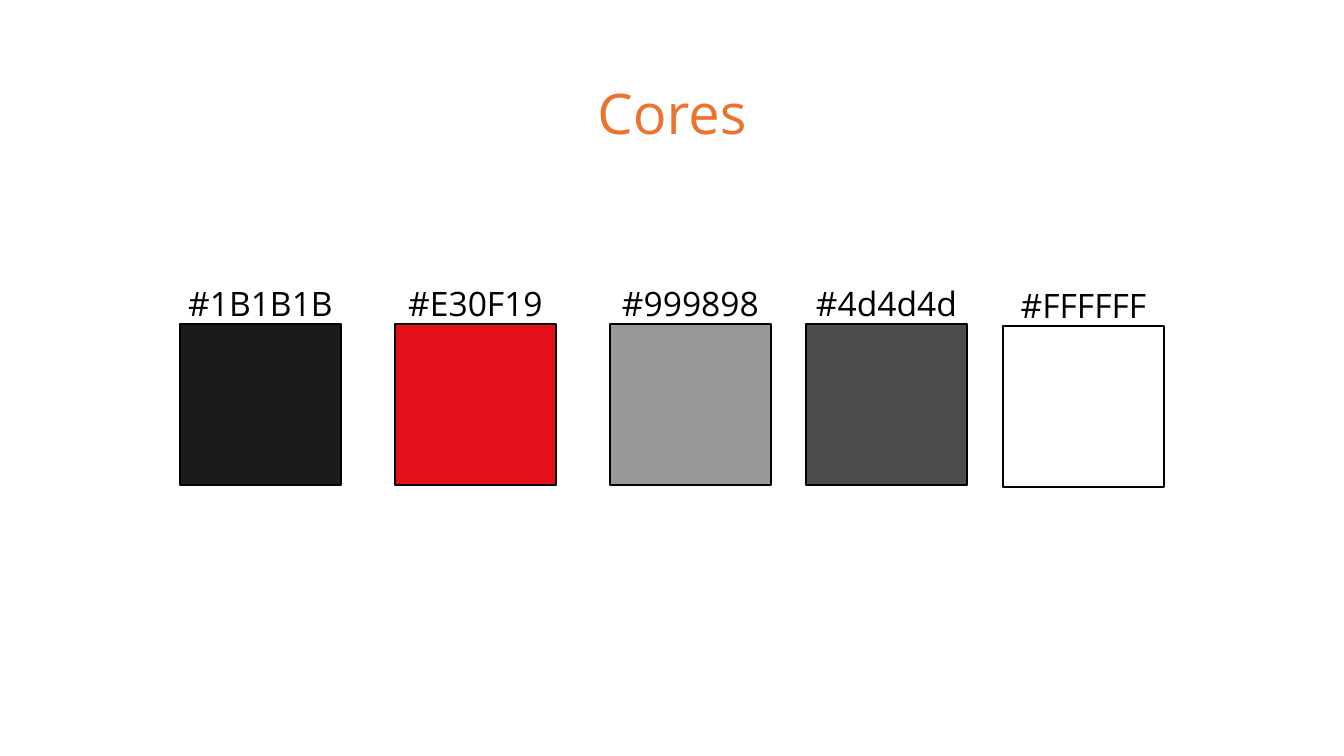
import pptx
import pptx.dml.color
import pptx.enum.shapes
import pptx.enum.text
import pptx.util

PX = 914400 / 134.4  # EMU in one px
FONT = "Open Sans"
COLORS = {"title": "EA742E", "ink": "000000"}


def emu(*lengths):
    return [pptx.util.Emu(round(length * PX)) for length in lengths]


def add_text(page, text, bounds, size, color):
    box = page.shapes.add_textbox(*emu(*bounds))
    frame = box.text_frame
    frame.word_wrap = True
    frame.vertical_anchor = pptx.enum.text.MSO_ANCHOR.TOP
    frame.margin_left = frame.margin_right = pptx.util.Inches(0.1)
    frame.margin_top = frame.margin_bottom = pptx.util.Inches(0.1)
    para = frame.paragraphs[0]
    para.alignment = pptx.enum.text.PP_ALIGN.CENTER
    para.space_after = pptx.util.Pt(10)
    span = para.add_run()
    span.text = text
    span.font.name = FONT
    span.font.size = pptx.util.Pt(size)
    span.font.color.rgb = pptx.dml.color.RGBColor.from_string(COLORS[color])


deck = pptx.Presentation()
deck.slide_width, deck.slide_height = emu(1344, 756)
page = deck.slides.add_slide(deck.slide_layouts[6])

# Title
add_text(page, "Cores", (46, 65, 1252, 85), 30, "title")

# Swatches with their codes above: code, left, top
SIDE = 161
LABEL_WIDTH, LABEL_HEIGHT, LABEL_RISE = 192, 66, 55
swatches = [
    ("#1B1B1B", 180, 324),
    ("#E30F19", 395, 324),
    ("#999898", 610, 324),
    ("#4d4d4d", 806, 324),
    ("#FFFFFF", 1003, 326),
]
for code, left, top in swatches:
    square = page.shapes.add_shape(
        pptx.enum.shapes.MSO_SHAPE.RECTANGLE, *emu(left, top, SIDE, SIDE))
    square.shadow.inherit = False
    square.fill.solid()
    square.fill.fore_color.rgb = pptx.dml.color.RGBColor.from_string(code[1:].upper())
    square.line.color.rgb = pptx.dml.color.RGBColor.from_string(COLORS["ink"])
    square.line.width = pptx.util.Pt(0.75)

    label_left = left + (SIDE - LABEL_WIDTH) / 2
    add_text(page, code, (label_left, top - LABEL_RISE, LABEL_WIDTH, LABEL_HEIGHT), 18, "ink")

deck.save("out.pptx")
